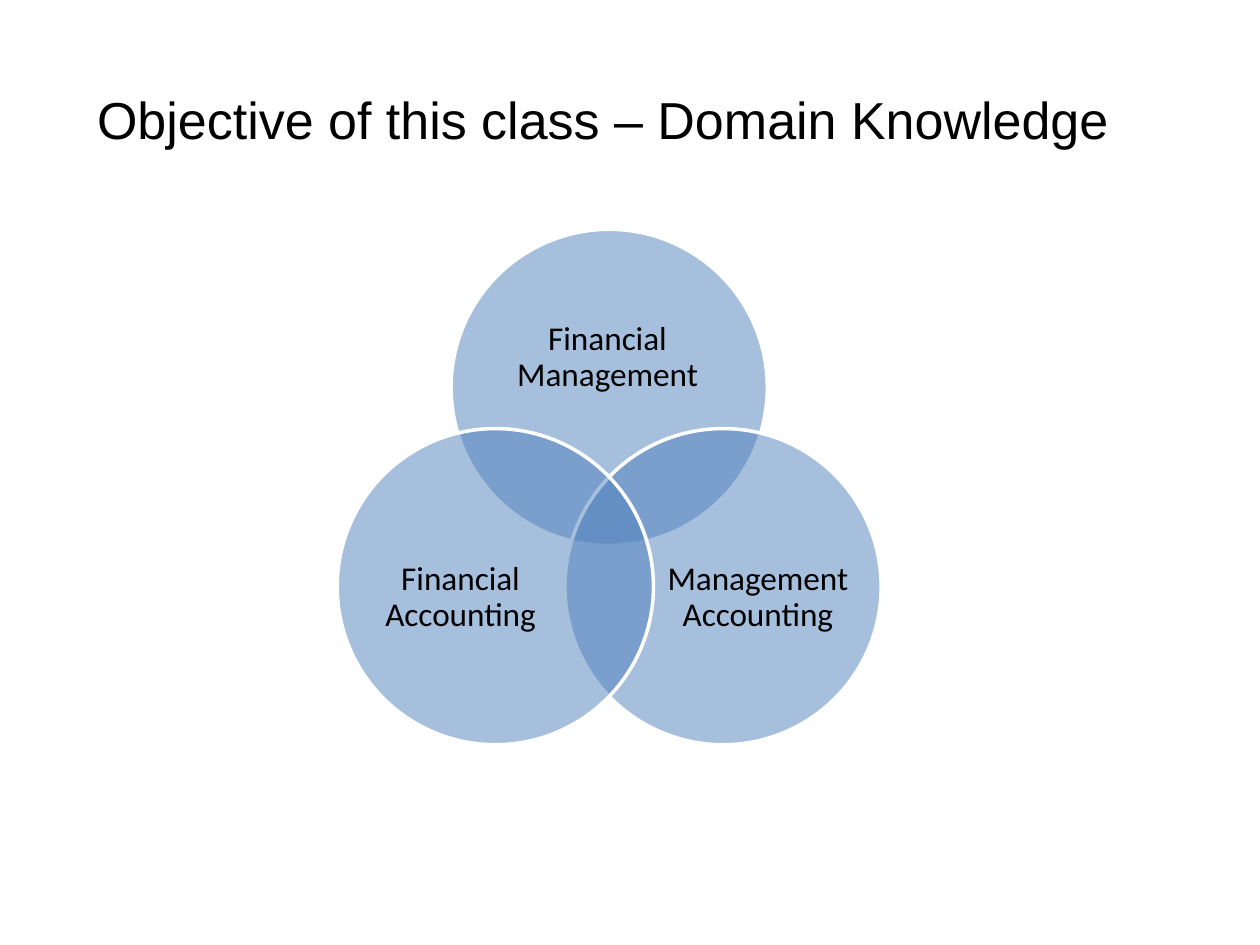
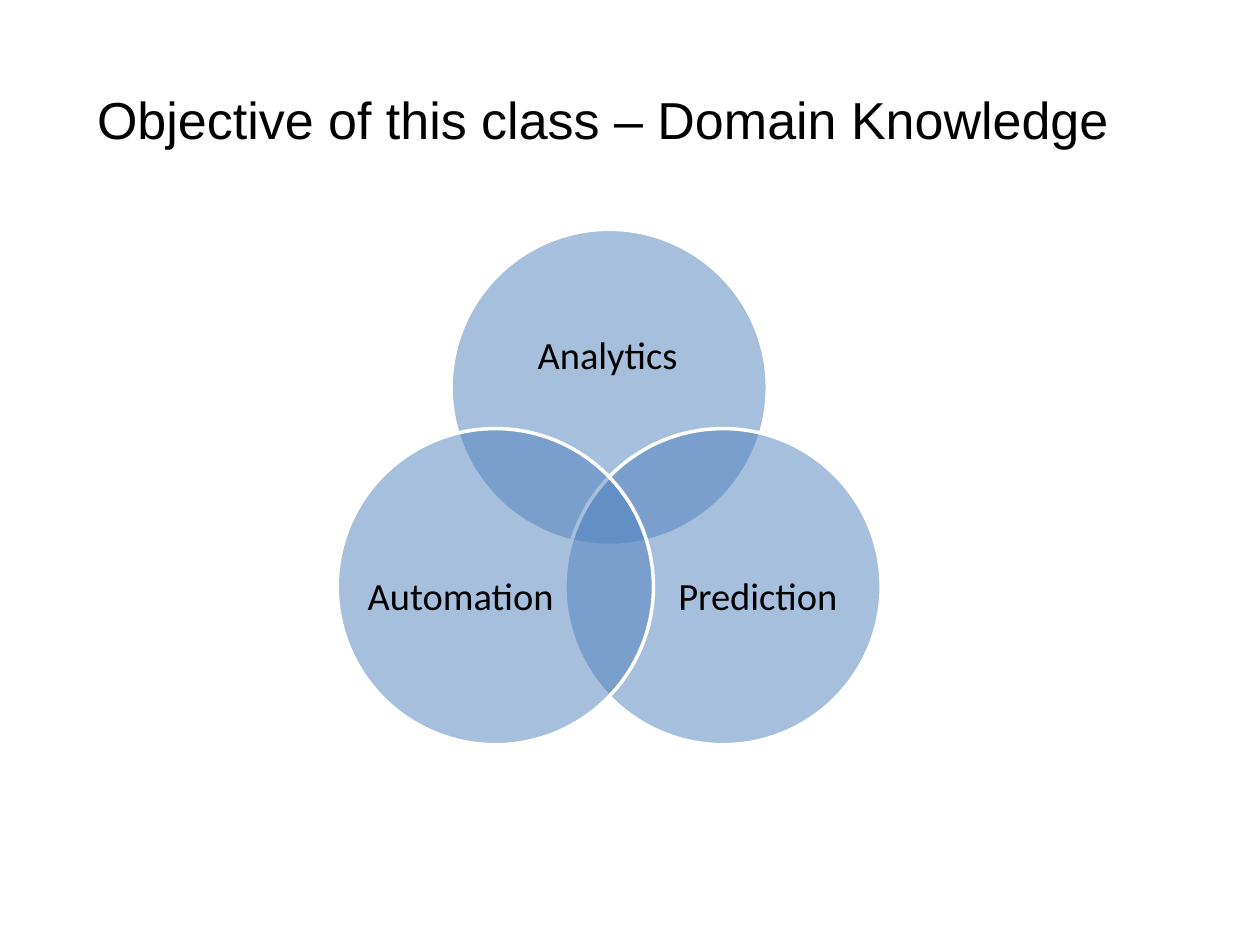
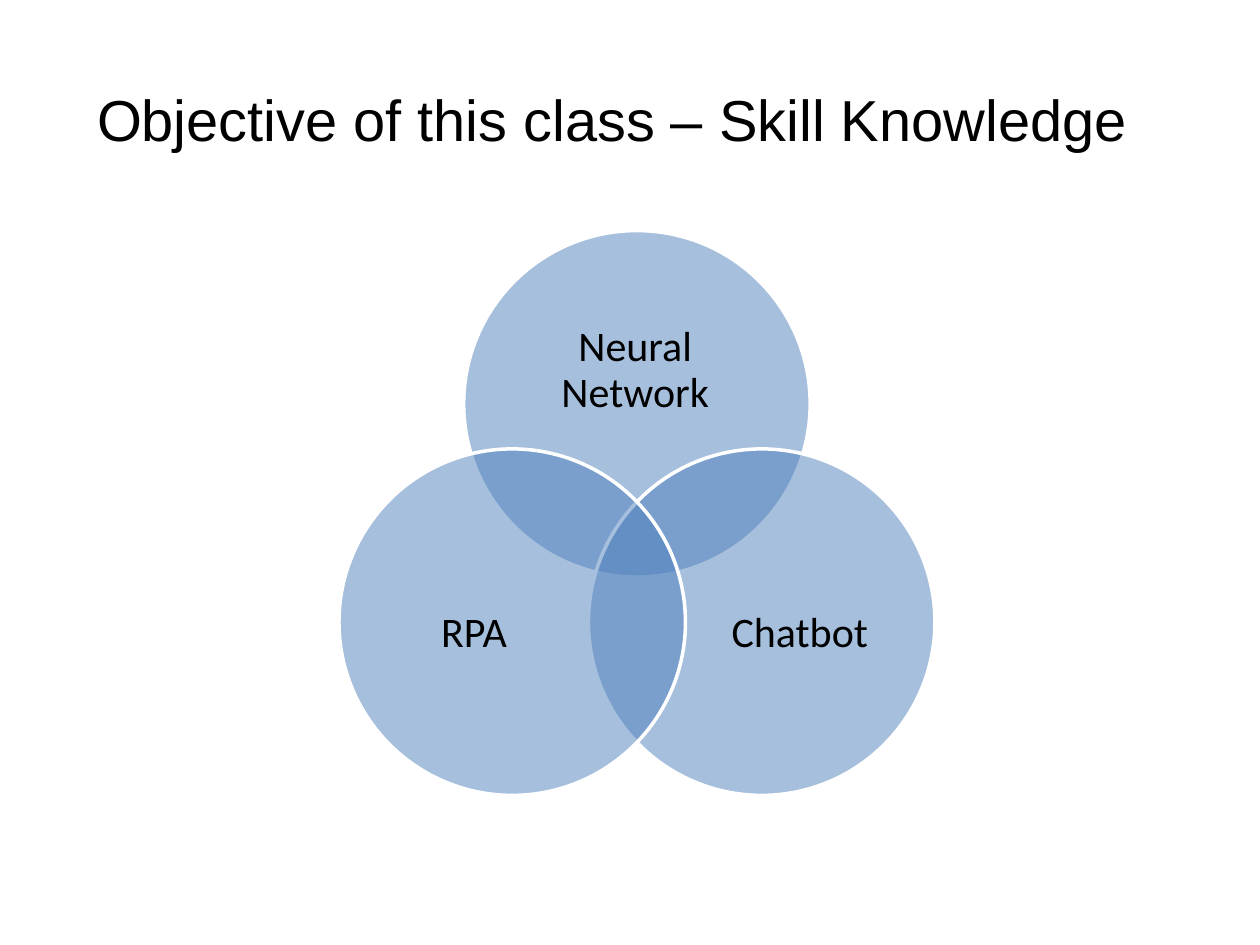
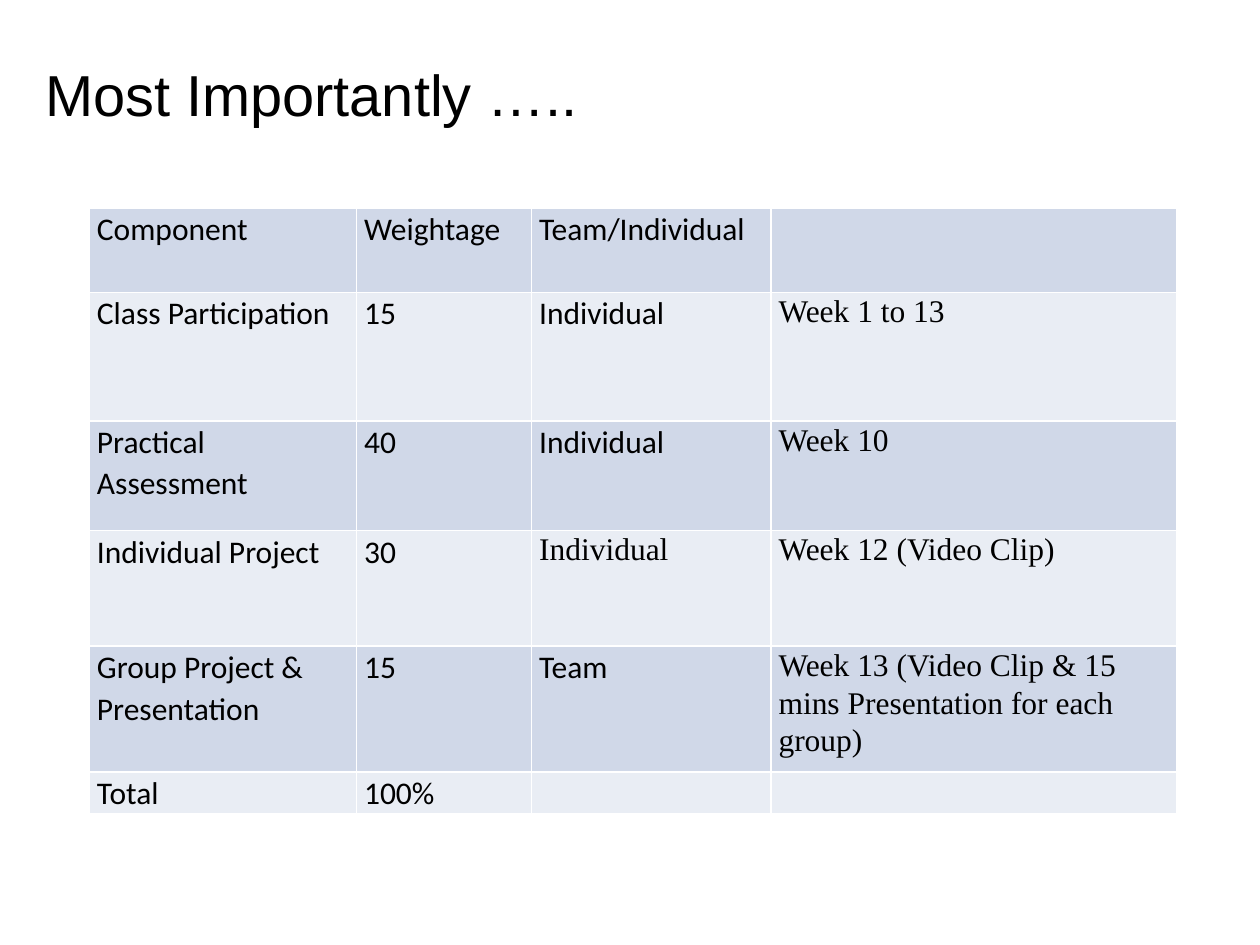
import pptx
import pptx.dml.color
import pptx.enum.shapes
import pptx.enum.text
import pptx.oxml
import pptx.oxml.ns
import pptx.util
import lxml.etree

Inches = pptx.util.Inches
Pt = pptx.util.Pt
qn = pptx.oxml.ns.qn
BLACK, WHITE, BLUE = "000000", "FFFFFF", "4F81BD"
BANDS = ["D0D8E8", "E9EDF4"]


def rgb(value):
    return pptx.dml.color.RGBColor.from_string(value)


def write(tf, text, font, size, align, spacing=None):
    tf.word_wrap = True
    p = tf.paragraphs[0]
    p.text = text
    p.alignment = align
    p.line_spacing = spacing
    p.font.name = font
    p.font.size = Pt(size)
    p.font.color.rgb = rgb(BLACK)


LEFT = pptx.enum.text.PP_ALIGN.LEFT
CENTER = pptx.enum.text.PP_ALIGN.CENTER
MIDDLE = pptx.enum.text.MSO_ANCHOR.MIDDLE

prs = pptx.Presentation()
prs.slide_width = Inches(10)
prs.slide_height = Inches(7.5)

titles = [
    ("Objective of this class – Domain Knowledge", 29.7, 0.67, 0.47, 8.94),
    ("Objective of this class – Domain Knowledge", 29.7, 0.67, 0.47, 8.94),
    ("Objective of this class – Skill Knowledge", 33, 0.67, 0.47, 8.94),
    ("Most Importantly …..", 33, 0.26, 0.27, 6.75),
]
for text, size, x, y, w in titles:
    s = prs.slides.add_slide(prs.slide_layouts[5])
    sp = s.shapes.title
    sp.left, sp.top, sp.width, sp.height = Inches(x), Inches(y), Inches(w), Inches(0.94)
    tf = sp.text_frame
    tf.auto_size = pptx.enum.text.MSO_AUTO_SIZE.NONE
    tf.vertical_anchor = MIDDLE
    write(tf, text, "Arial", size, LEFT)

# Circle offsets and label boxes are fractions of the circle diameter.
circles = [
    (0, 0, 0.13, 0.18, 0.73, 0.45),
    (0.36, 0.63, 0.31, 0.26, 0.6, 0.55),
    (-0.36, 0.63, 0.09, 0.26, 0.6, 0.55),
]
venns = [
    (3.58, 1.82, 2.51, 19, ["Financial Management", "Management Accounting", "Financial Accounting"]),
    (3.58, 1.82, 2.51, 22, ["Analytics", "Prediction", "Automation"]),
    (3.68, 1.83, 2.75, 24, ["Neural Network", "Chatbot", "RPA"]),
]
for s, (left, top, d, size, labels) in zip(prs.slides, venns):
    group = s.shapes.add_group_shape()
    for label, (dx, dy, tx, ty, tw, th) in zip(labels, circles):
        x, y = left + dx * d, top + dy * d
        sp = group.shapes.add_shape(
            pptx.enum.shapes.MSO_SHAPE.OVAL, Inches(x), Inches(y), Inches(d), Inches(d))
        sp.shadow.inherit = False
        sp.fill.solid()
        sp.fill.fore_color.rgb = rgb(BLUE)
        color = sp.fill._xPr.find(qn("a:solidFill")).find(qn("a:srgbClr"))
        lxml.etree.SubElement(color, qn("a:alpha"), val="50000")
        sp.line.color.rgb = rgb(WHITE)
        sp.line.width = Pt(2)

        box = group.shapes.add_textbox(
            Inches(x + tx * d), Inches(y + ty * d), Inches(tw * d), Inches(th * d))
        tf = box.text_frame
        tf.margin_left = tf.margin_right = tf.margin_top = tf.margin_bottom = 0
        tf.vertical_anchor = MIDDLE
        write(tf, label, "Calibri", size, CENTER, 0.9)

rows = [
    ["Component", "Weightage", "Team/Individual", ""],
    ["Class Participation", "15", "Individual", "Week 1 to 13"],
    ["Practical Assessment", "40", "Individual", "Week 10"],
    ["Individual Project", "30", "Individual", "Week 12 (Video Clip)"],
    ["Group Project & Presentation", "15", "Team",
     "Week 13 (Video Clip & 15 mins Presentation for each group)"],
    ["Total", "100%", "", ""],
]
widths = [2.12, 1.39, 1.9, 3.22]
heights = [0.67, 1.02, 0.87, 0.92, 1, 0.32]
table = prs.slides[3].shapes.add_table(
    len(rows), len(widths), Inches(0.71), Inches(1.65),
    Inches(sum(widths)), Inches(sum(heights))).table
table.first_row = False
table.horz_banding = False
for column, width in zip(table.columns, widths):
    column.width = Inches(width)
for i, (row, height) in enumerate(zip(rows, heights)):
    table.rows[i].height = Inches(height)
    for j, text in enumerate(row):
        cell = table.cell(i, j)
        cell.margin_left = cell.margin_right = Inches(0.06)
        cell.margin_top = cell.margin_bottom = 0
        tcPr = cell._tc.get_or_add_tcPr()
        for side in ["a:lnL", "a:lnR", "a:lnT", "a:lnB"]:
            ln = lxml.etree.SubElement(tcPr, qn(side), w=str(Pt(1)))
            fill = lxml.etree.SubElement(ln, qn("a:solidFill"))
            lxml.etree.SubElement(fill, qn("a:srgbClr"), val=WHITE)
        cell.fill.solid()
        cell.fill.fore_color.rgb = rgb(BANDS[i % 2])
        serif = j == 3 or (i, j) == (3, 2)
        font = "Times New Roman" if serif else "Calibri"
        write(cell.text_frame, text, font, 18, LEFT, 1.07)

prs.save("out.pptx")
